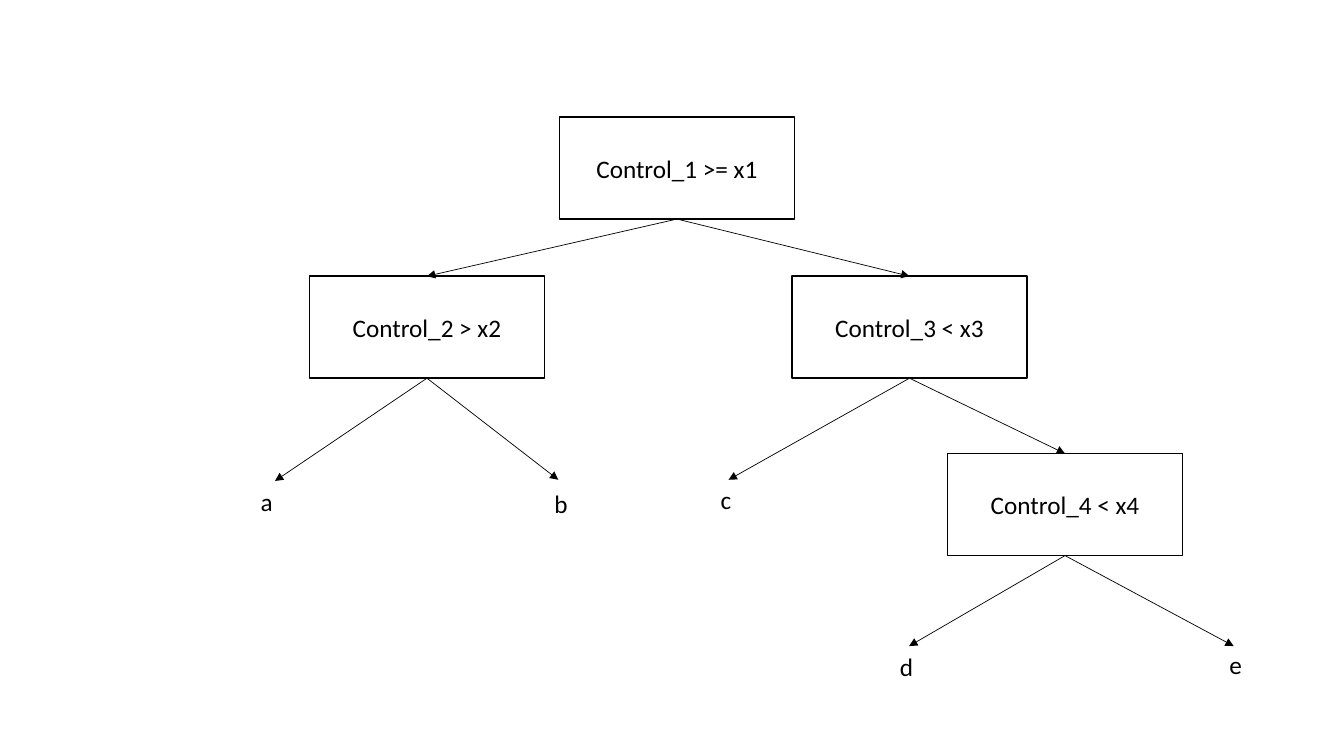
from lxml.etree import SubElement
from pptx import Presentation
from pptx.dml.color import RGBColor
from pptx.enum.shapes import MSO_CONNECTOR, MSO_SHAPE
from pptx.enum.text import MSO_ANCHOR, PP_ALIGN
from pptx.oxml.ns import qn
from pptx.util import Cm, Pt


def color(value):
    return RGBColor.from_string(value)


class TreeSlide:
    FONT, SIZE = "Calibri", 18
    INK, PAPER = "000000", "FFFFFF"
    BOX_W, BOX_H = 5.92, 2.57
    LEAF_W, LEAF_H = 1.93, 1.02
    TOP, BOTTOM = 0, 2

    def __init__(self, s):
        self.s = s

    def set_text(self, tf, text, align):
        tf.word_wrap = True
        p = tf.paragraphs[0]
        p.text = text
        p.alignment = align
        p.font.name = self.FONT
        p.font.size = Pt(self.SIZE)
        p.font.color.rgb = color(self.INK)

    def outline(self, line, width):
        line.color.rgb = color(self.INK)
        line.width = Pt(width)

    def box(self, text, x, y):
        sp = self.s.shapes.add_shape(
            MSO_SHAPE.RECTANGLE, Cm(x), Cm(y), Cm(self.BOX_W), Cm(self.BOX_H))
        sp.shadow.inherit = False
        sp.fill.solid()
        sp.fill.fore_color.rgb = color(self.PAPER)
        self.outline(sp.line, 1)
        sp.text_frame.vertical_anchor = MSO_ANCHOR.MIDDLE
        self.set_text(sp.text_frame, text, PP_ALIGN.CENTER)
        return sp

    def arrow(self, parent, x=0, y=0, child=None):
        cxn = self.s.shapes.add_connector(
            MSO_CONNECTOR.STRAIGHT, 0, 0, Cm(x), Cm(y))
        cxn.begin_connect(parent, self.BOTTOM)
        if child is not None:
            cxn.end_connect(child, self.TOP)
        self.outline(cxn.line, 0.5)
        props = cxn._element.spPr
        SubElement(props.find(qn("a:ln")), qn("a:tailEnd"), type="triangle")
        SubElement(props, qn("a:effectLst"))

    def leaf(self, text, x, y):
        sp = self.s.shapes.add_textbox(
            Cm(x), Cm(y), Cm(self.LEAF_W), Cm(self.LEAF_H))
        self.set_text(sp.text_frame, text, PP_ALIGN.LEFT)


BOXES = [
    ("Control_1 >= x1", 14.1, 2.95),
    ("Control_2 > x2", 7.8, 6.96),
    ("Control_3 < x3", 19.96, 6.96),
    ("Control_4 < x4", 23.88, 11.43),
]
BRANCHES = [(0, 1), (0, 2), (2, 3)]
LEAVES = [
    ("a", 1, (6.93, 12.12), (6.32, 12.12)),
    ("b", 1, (14.07, 12.09), (13.72, 12.19)),
    ("c", 2, (18.36, 12.09), (17.91, 12.09)),
    ("d", 3, (22.91, 16.28), (22.43, 16.28)),
    ("e", 3, (31.09, 16.28), (30.73, 16.23)),
]


def main():
    prs = Presentation()
    prs.slide_width, prs.slide_height = Cm(33.87), Cm(19.05)
    tree = TreeSlide(prs.slides.add_slide(prs.slide_layouts[6]))
    boxes = [tree.box(*box) for box in BOXES]
    for parent, child in BRANCHES:
        tree.arrow(boxes[parent], child=boxes[child])
    for text, parent, tip, corner in LEAVES:
        tree.arrow(boxes[parent], *tip)
        tree.leaf(text, *corner)
    prs.save("out.pptx")


if __name__ == "__main__":
    main()
